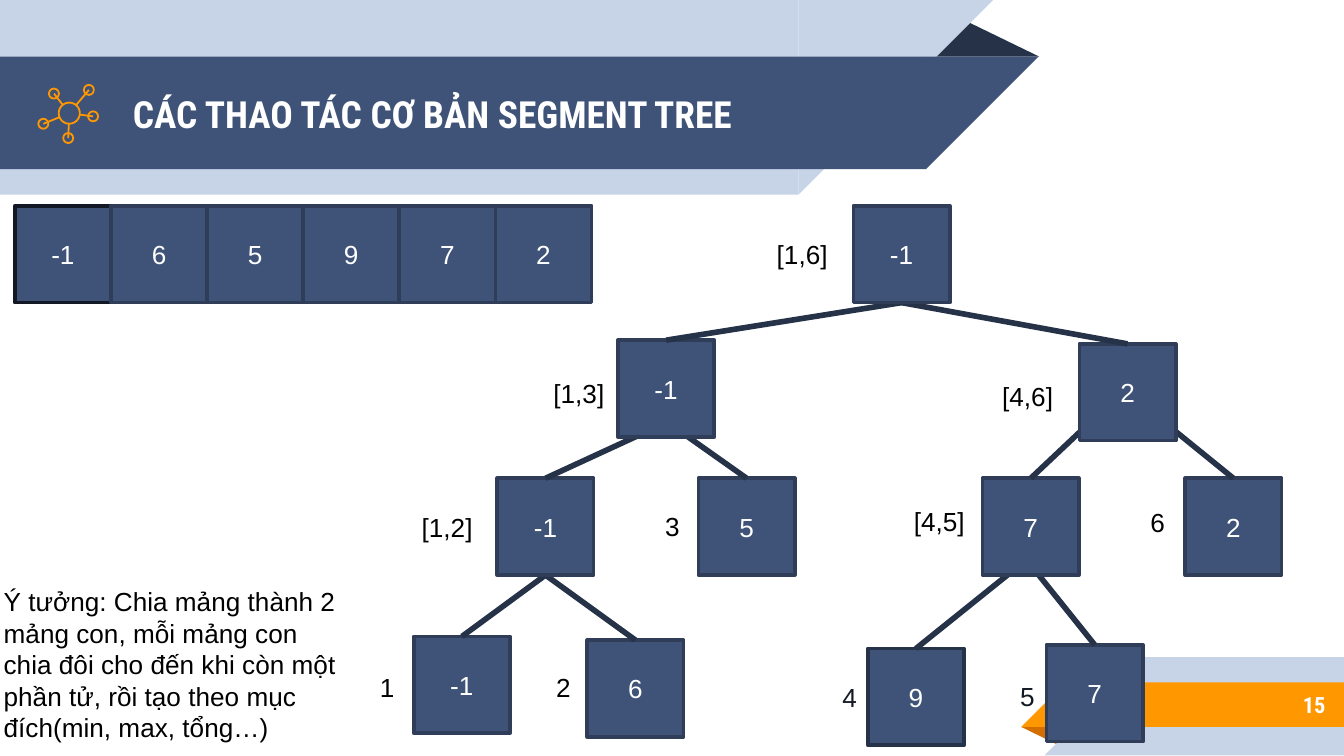
import math
from collections import namedtuple

import pptx
import pptx.dml.color
import pptx.enum.shapes
import pptx.enum.text
import pptx.oxml
import pptx.util

Cm, Pt = pptx.util.Cm, pptx.util.Pt
RGBColor = pptx.dml.color.RGBColor
SHAPE = pptx.enum.shapes.MSO_SHAPE
ALIGN = pptx.enum.text.PP_ALIGN
ANCHOR = pptx.enum.text.MSO_ANCHOR

NAVY = RGBColor(0x3F, 0x53, 0x78)
EDGE = RGBColor(0x2F, 0x3D, 0x59)
DARK = RGBColor(0x26, 0x32, 0x48)
INK = RGBColor(0x13, 0x19, 0x24)
PALE = RGBColor(0xC7, 0xD3, 0xE6)
ORANGE = RGBColor(0xFF, 0x98, 0x00)
RUST = RGBColor(0xD2, 0x6F, 0x00)
WHITE = RGBColor(0xFF, 0xFF, 0xFF)
BLACK = RGBColor(0, 0, 0)

CELL_WIDTH, CELL_HEIGHT = 1.82, 1.83
HEADING_FONT = "Roboto Condensed"

Box = namedtuple("Box", "left top width height")
Node = namedtuple("Node", "value label place offset children joint edge ink",
                  defaults=((), None, EDGE, BLACK))


def inside(box, left, top, width, height):
    return Box(box.left + left, box.top + top, width, height)


def add_shape(page, kind, box, fill=None, edge=None, weight=2, rotation=0):
    shape = page.shapes.add_shape(kind, *map(Cm, box))
    shape.shadow.inherit = False
    shape.rotation = rotation
    if fill is None:
        shape.fill.background()
    else:
        shape.fill.solid()
        shape.fill.fore_color.rgb = fill
    if edge is None:
        shape.line.fill.background()
    else:
        shape.line.color.rgb = edge
        shape.line.width = Pt(weight)
    return shape


def add_line(page, start, end, color, weight):
    line = page.shapes.add_connector(
        pptx.enum.shapes.MSO_CONNECTOR.STRAIGHT, *map(Cm, (*start, *end)))
    line.line.color.rgb = color
    line.line.width = Pt(weight)
    line._element.spPr.append(pptx.oxml.parse_xml(
        '<a:effectLst xmlns:a="http://schemas.openxmlformats.org/drawingml/2006/main"/>'))
    return line


def write(shape, text, size, color, font="Arial", bold=False, align=ALIGN.LEFT):
    para = shape.text_frame.paragraphs[0]
    para.text = text
    para.alignment = align
    para.font.name, para.font.size, para.font.bold = font, Pt(size), bold
    para.font.color.rgb = color


def add_text(page, box, text, size, color, anchor=ANCHOR.TOP, **style):
    label = page.shapes.add_textbox(*map(Cm, box))
    label.text_frame.word_wrap = True
    label.text_frame.vertical_anchor = anchor
    write(label, text, size, color, **style)


def add_cell(page, box, value, edge=EDGE):
    cell = add_shape(page, SHAPE.RECTANGLE, box, NAVY, edge)
    cell.text_frame.vertical_anchor = ANCHOR.MIDDLE
    write(cell, value, 14, WHITE, align=ALIGN.CENTER)
    return cell


def draw_header(page, box, title):
    fold = inside(box, 17.48, 0.36, 2.16, 0.71)
    add_shape(page, SHAPE.ISOSCELES_TRIANGLE, fold, DARK).adjustments[0] = 0.324
    for top, width, height, color in ((0, 15.09, 3.68, PALE), (1.07, 17.5, 2.13, NAVY)):
        add_shape(page, SHAPE.RECTANGLE, inside(box, 0, top, width, height), color)
        add_shape(page, SHAPE.RIGHT_TRIANGLE, inside(box, width, top, height, height),
                  color, rotation=90)
    add_text(page, inside(box, 2.26, 1.09, 13.41, 2.13), title, 20, WHITE,
             ANCHOR.MIDDLE, font=HEADING_FONT, bold=True)


def draw_footer(page, box, number):
    fold = inside(box, 0, 1.32, 1.09, 0.36)
    add_shape(page, SHAPE.ISOSCELES_TRIANGLE, fold, RUST,
              rotation=180).adjustments[0] = 0.324
    for left, top, height, color in ((0.44, 0, 1.86, PALE), (0, 0.48, 0.84, ORANGE)):
        body = left + height
        add_shape(page, SHAPE.RECTANGLE,
                  inside(box, body, top, box.width - body, height), color)
        add_shape(page, SHAPE.RIGHT_TRIANGLE, inside(box, left, top, height, height),
                  color, rotation=270)
    add_text(page, inside(box, 1.86, 0.46, 4.14, 0.89), number, 12, WHITE,
             ANCHOR.MIDDLE, font=HEADING_FONT, bold=True, align=ALIGN.RIGHT)


def draw_network_icon(page, box):
    hub, radius = (0.59, 0.54), 0.2
    satellites = ((0.96, 0.1), (0.3, 0.17), (0.1, 0.74), (0.57, 1.01), (1.04, 0.6))
    for (x, y), reach in [(hub, radius)] + [(center, 0.095) for center in satellites]:
        add_shape(page, SHAPE.OVAL,
                  inside(box, x - reach, y - reach, 2 * reach, 2 * reach),
                  edge=ORANGE, weight=0.96)
    for x, y in satellites:
        ratio = radius / math.hypot(x - hub[0], y - hub[1])
        rim = (hub[0] + ratio * (x - hub[0]), hub[1] + ratio * (y - hub[1]))
        add_line(page, (box.left + x, box.top + y),
                 (box.left + rim[0], box.top + rim[1]), ORANGE, 0.96)


def draw_array(page, box, values):
    width = box.width / len(values)
    for index, value in enumerate(values):
        add_cell(page, inside(box, index * width, 0, width, box.height), value,
                 EDGE if index else INK)


def draw_tree(page, box, node):
    cell_box = inside(box, *node.place, CELL_WIDTH, CELL_HEIGHT)
    joint_x, joint_y = node.joint or (CELL_WIDTH / 2, CELL_HEIGHT)
    joint = (cell_box.left + joint_x, cell_box.top + joint_y)
    children = [draw_tree(page, box, child) for child in node.children]
    lines = []
    for child in children:
        line = add_line(page, joint, joint, DARK, 3)
        line.begin_connect(child, 0)
        lines.append(line)
    cell = add_cell(page, cell_box, node.value, node.edge)
    if node.joint is None:
        for line in lines:
            line.end_connect(cell, 2)
    width = 1.8 if len(node.label) > 1 else 0.87
    add_text(page, inside(cell_box, *node.offset, width, 0.86), node.label, 14, node.ink)
    return cell


def build_tree():
    left_pair = Node("-1", "[1,2]", (1.58, 5.15), (-1.68, 0.51), (
        Node("-1", "1", (0, 8.14), (-0.89, 0.54)),
        Node("6", "2", (3.28, 8.21), (-0.84, 0.47))))
    right_pair = Node("7", "[4,5]", (10.75, 5.15), (-1.55, 0.38), (
        Node("9", "4", (8.58, 8.37), (-0.73, 0.49), edge=DARK, ink=INK),
        Node("7", "5", (11.96, 8.3), (-0.75, 0.55), ink=INK)), (0.83, 1.54))
    left_half = Node("-1", "[1,3]", (3.86, 2.54), (-1.47, 0.58), (
        left_pair, Node("5", "3", (5.38, 5.15), (-0.88, 0.49))), (0.93, 1.55))
    right_half = Node("2", "[4,6]", (12.58, 2.61), (-1.71, 0.56), (
        right_pair, Node("2", "6", (14.58, 5.15), (-0.91, 0.41))), (0.85, 0.87))
    return Node("-1", "[1,6]", (8.31, 0), (-1.7, 0.5), (left_half, right_half))


def main():
    deck = pptx.Presentation()
    deck.slide_width, deck.slide_height = Cm(25.4), Cm(14.29)
    page = deck.slides.add_slide(deck.slide_layouts[6])
    draw_header(page, Box(0, 0, 19.63, 3.68), "CÁC THAO TÁC CƠ BẢN SEGMENT TREE")
    draw_footer(page, Box(19.3, 12.42, 6.1, 1.87), "15")
    draw_network_icon(page, Box(0.72, 1.6, 1.14, 1.1))
    draw_tree(page, Box(7.82, 3.89, 16.4, 10.2), build_tree())
    draw_array(page, Box(0.28, 3.89, 10.9, CELL_HEIGHT), ("-1", "6", "5", "9", "7", "2"))
    add_text(page, Box(-0.18, 10.95, 6.96, 3.84),
             "Ý tưởng: Chia mảng thành 2 mảng con, mỗi mảng con chia đôi cho đến khi "
             "còn một phần tử, rồi tạo theo mục đích(min, max, tổng…)", 14, BLACK)
    deck.save("out.pptx")


if __name__ == "__main__":
    main()
